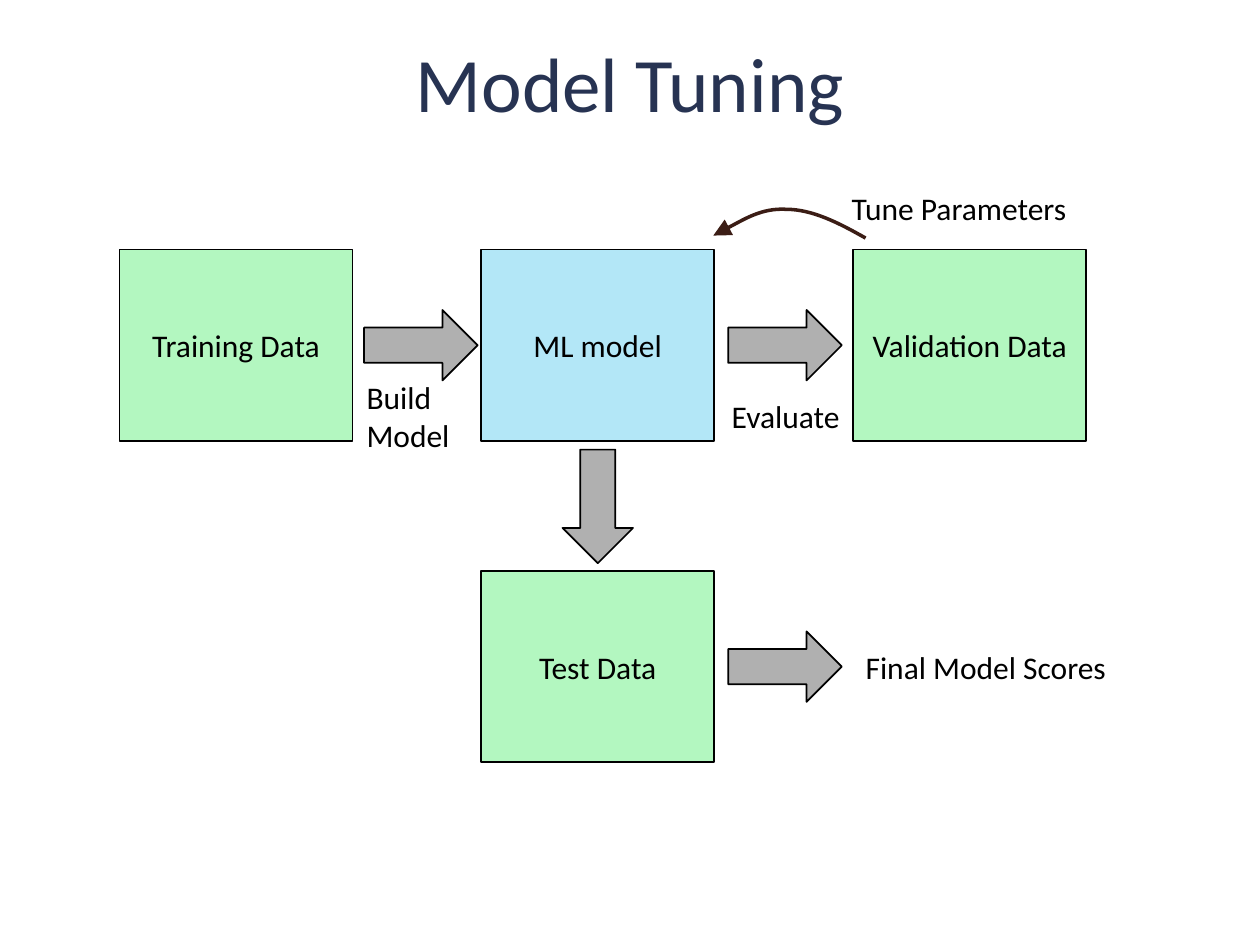
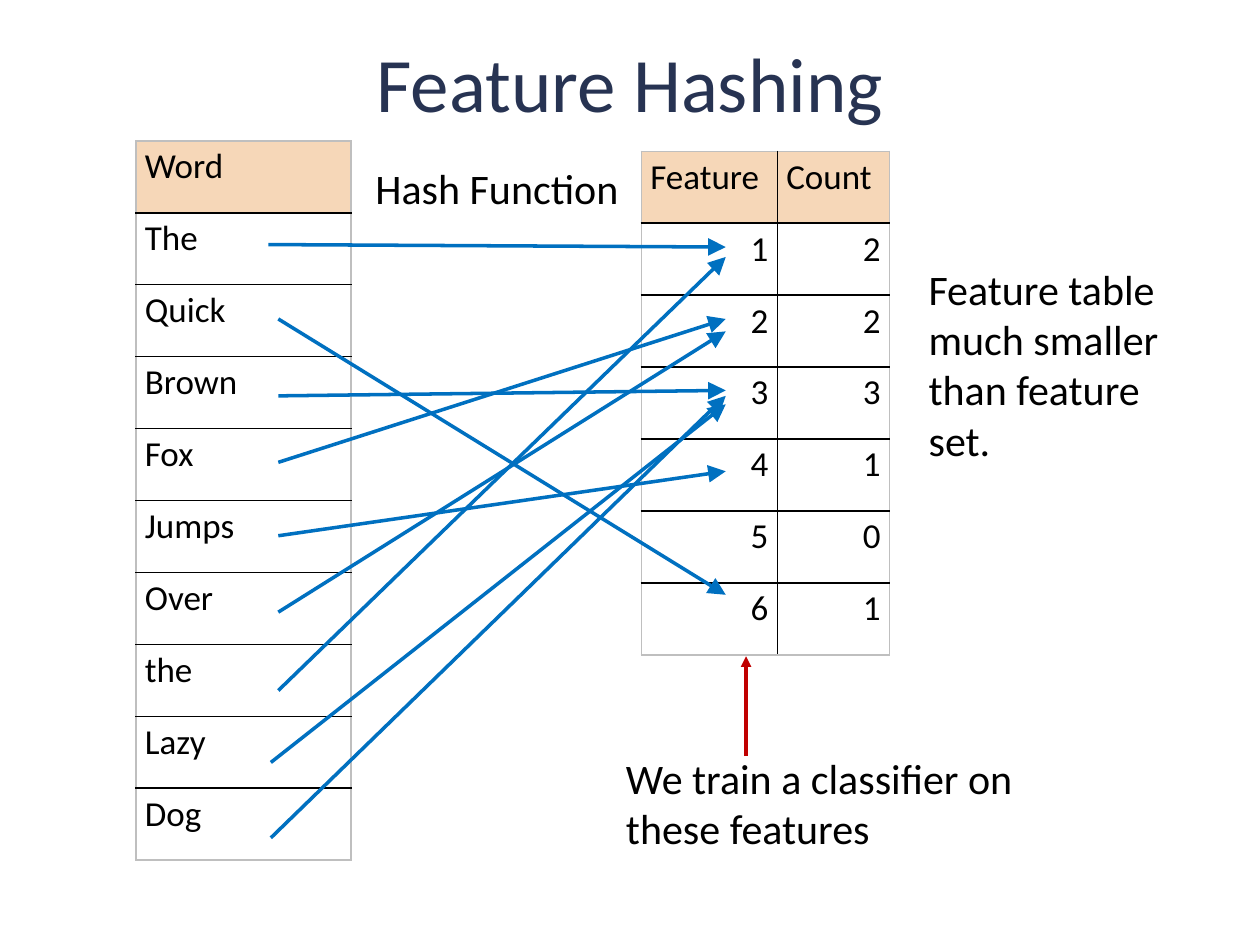
from lxml import etree
from pptx import Presentation
from pptx import util as u
from pptx.dml.color import RGBColor
from pptx.enum import shapes, text
from pptx.oxml.ns import qn

BLACK, GREY, EDGE = "000000", "B0B0B0", "BFBFBF"
GREEN, SKY, PEACH = "B3F7C0", "B3E7F7", "F6D7B8"
NAVY, BROWN, BLUE, RED = "273352", "3B1D15", "0070C0", "C00000"
ALIGN = text.PP_ALIGN


def color(value):
    return RGBColor.from_string(value)


def assign(target, values):
    for name, value in values.items():
        setattr(target, name, value)


def lengths(values):
    return [u.Cm(value) for value in values]


class Sketch:
    font = "Calibri"
    title_area = (1.27, 0.3, 22.86, 2.7)
    insets = {
        "margin_left": u.Cm(0.18), "margin_right": u.Cm(0.18),
        "margin_top": u.Cm(0.09), "margin_bottom": u.Cm(0.09),
    }

    def __init__(self):
        self.deck = Presentation()
        assign(self.deck, {"slide_width": u.Cm(25.4), "slide_height": u.Cm(19.05)})
        self.page = None

    def start_page(self, title):
        self.page = self.deck.slides.add_slide(self.deck.slide_layouts[5])
        box = self.page.shapes.title
        assign(box, dict(zip(("left", "top", "width", "height"), lengths(self.title_area))))
        box.text_frame.vertical_anchor = text.MSO_ANCHOR.MIDDLE
        self.set_words(box.text_frame, title, 44, NAVY, alignment=ALIGN.CENTER)

    def set_words(self, frame, words, size, ink=BLACK, **para_format):
        para = frame.paragraphs[0]
        para.text = words
        assign(para, para_format)
        for span in para.runs:
            assign(span.font, {"name": self.font, "size": u.Pt(size), "bold": False})
            span.font.color.rgb = color(ink)

    def stroke(self, line, ink, width, head=None):
        line.color.rgb = color(ink)
        line.width = u.Pt(width)
        if head:
            etree.SubElement(line._get_or_add_ln(), qn("a:tailEnd"),
                             type="triangle", w=head, len=head)

    def shape(self, kind, area, fill, words=None):
        box = self.page.shapes.add_shape(kind, *lengths(area))
        box.shadow.inherit = False
        box.fill.solid()
        box.fill.fore_color.rgb = color(fill)
        self.stroke(box.line, BLACK, 1)
        if words:
            box.text_frame.vertical_anchor = text.MSO_ANCHOR.MIDDLE
            self.set_words(box.text_frame, words, 18, alignment=ALIGN.CENTER)
        return box

    def label(self, area, words, size):
        box = self.page.shapes.add_textbox(*lengths(area))
        assign(box.text_frame, {"word_wrap": False,
                                "auto_size": text.MSO_AUTO_SIZE.SHAPE_TO_FIT_TEXT})
        self.set_words(box.text_frame, words, size)

    def arrow(self, start, end, ink, head):
        line = self.page.shapes.add_connector(
            shapes.MSO_CONNECTOR.STRAIGHT, *lengths(start + end))
        self.stroke(line.line, ink, 2, head)
        etree.SubElement(line._element.spPr, qn("a:effectLst"))

    def curve(self, points, ink, head):
        start, *others = [lengths(point) for point in points]
        builder = self.page.shapes.build_freeform(*start)
        builder.add_line_segments(others, close=False)
        shape = builder.convert_to_shape()
        outline = shape._element.find(".//" + qn("a:path"))
        legs = outline.findall(qn("a:lnTo"))
        for first in range(0, len(legs), 3):
            bend = etree.SubElement(outline, qn("a:cubicBezTo"))
            for leg in legs[first:first + 3]:
                bend.append(leg[0])
                outline.remove(leg)
        shape.shadow.inherit = False
        shape.fill.background()
        self.stroke(shape.line, ink, 2, head)

    def border(self, cell, edges):
        properties = cell._tc.get_or_add_tcPr()
        for side, ink in edges.items():
            line = etree.SubElement(properties, qn("a:ln" + side), w=str(u.Pt(1)))
            fill = etree.SubElement(line, qn("a:solidFill"))
            etree.SubElement(fill, qn("a:srgbClr"), val=ink)

    def table(self, left, top, widths, row_height, rows):
        height = row_height * len(rows)
        frame = self.page.shapes.add_table(
            len(rows), len(widths), *lengths((left, top, sum(widths), height)))
        grid = frame.table
        assign(grid, {"first_row": False, "horz_banding": False})
        for column, width in zip(grid.columns, widths):
            column.width = u.Cm(width)
        for r, row in enumerate(rows):
            grid.rows[r].height = u.Cm(row_height)
            for c, words in enumerate(row):
                cell = grid.cell(r, c)
                assign(cell, self.insets)
                outer = {"L": c == 0, "R": c == len(row) - 1,
                         "T": r == 0, "B": r == len(rows) - 1}
                self.border(cell, {side: EDGE if is_outer else BLACK
                                   for side, is_outer in outer.items()})
                if r == 0:
                    cell.fill.solid()
                    cell.fill.fore_color.rgb = color(PEACH)
                else:
                    cell.fill.background()
                self.set_words(cell.text_frame, words, 20, space_before=u.Pt(6),
                               alignment=ALIGN.RIGHT if words.isdigit() else ALIGN.JUSTIFY)


def model_tuning(sketch):
    sketch.start_page("Model Tuning")
    kinds = shapes.MSO_SHAPE
    box_width, box_height = 4.7, 3.86
    arrow_width, arrow_height = 2.29, 1.42
    left, middle, right = 2.41, 9.7, 17.2
    upper, lower = 5.03, 11.51

    for x, y, fill, words in (
        (left, upper, GREEN, "Training Data"),
        (middle, upper, SKY, "ML model"),
        (right, upper, GREEN, "Validation Data"),
        (middle, lower, GREEN, "Test Data"),
    ):
        sketch.shape(kinds.RECTANGLE, (x, y, box_width, box_height), fill, words)

    drop = (box_height - arrow_height) / 2
    down_x = middle + (box_width - arrow_width) / 2
    for x, y, turn in ((7.34, upper + drop, 0), (14.68, upper + drop, 0),
                       (14.68, lower + drop, 0), (down_x, 9.5, 90)):
        arrow = sketch.shape(kinds.RIGHT_ARROW, (x, y, arrow_width, arrow_height), GREY)
        arrow.rotation = turn

    sketch.curve(((17.45, 4.8), (16.92, 4.5), (16.38, 4.22), (15.85, 4.22),
                  (15.34, 4.19), (14.38, 4.75), (14.38, 4.75)), BROWN, "lg")
    for area, words in (
        ((16.92, 3.68, 5.03, 1.02), "Tune Parameters"),
        ((14.5, 7.87, 2.72, 1.02), "Evaluate"),
        ((7.14, 7.49, 2.21, 1.8), "Build\vModel"),
        ((17.2, 12.93, 5.41, 1.02), "Final Model Scores"),
    ):
        sketch.label(area, words, 18)


def feature_hashing(sketch):
    sketch.start_page("Feature Hashing")
    row_height, feature_x = 1.45, 14.63
    hashes = (
        ("The", (5.41, 4.93), 4.98),
        ("Quick", (5.61, 6.43), 11.99),
        ("Brown", (5.61, 7.98), 7.87),
        ("Fox", (5.61, 9.32), 6.43),
        ("Jumps", (5.61, 10.8), 9.5),
        ("Over", (5.61, 12.34), 6.68),
        ("the", (5.61, 13.92), 5.18),
        ("Lazy", (5.46, 15.37), 8.15),
        ("Dog", (5.46, 16.89), 7.98),
    )
    counts = (2, 2, 3, 1, 0, 1)
    sketch.table(2.74, 2.84, (4.34,), row_height,
                 [("Word",)] + [(word,) for word, _, _ in hashes])
    sketch.table(12.93, 3.05, (2.74, 2.26), row_height,
                 [("Feature", "Count")]
                 + [(str(feature), str(count)) for feature, count in enumerate(counts, 1)])
    for _, start, feature_y in hashes:
        sketch.arrow(start, (feature_x, feature_y), BLUE, "lg")

    for area, words in (
        ((7.32, 3.15, 5.46, 1.27), "Hash Function"),
        ((18.47, 5.18, 5.18, 4.37), "Feature table\vmuch smaller\vthan feature\vset."),
        ((12.37, 15.04, 8.38, 2.31), "We train a classifier on\vthese features"),
    ):
        sketch.label(area, words, 24)
    sketch.arrow((15.04, 15.24), (15.04, 13.23), RED, "med")


def main():
    sketch = Sketch()
    model_tuning(sketch)
    feature_hashing(sketch)
    sketch.deck.save("out.pptx")


if __name__ == "__main__":
    main()
